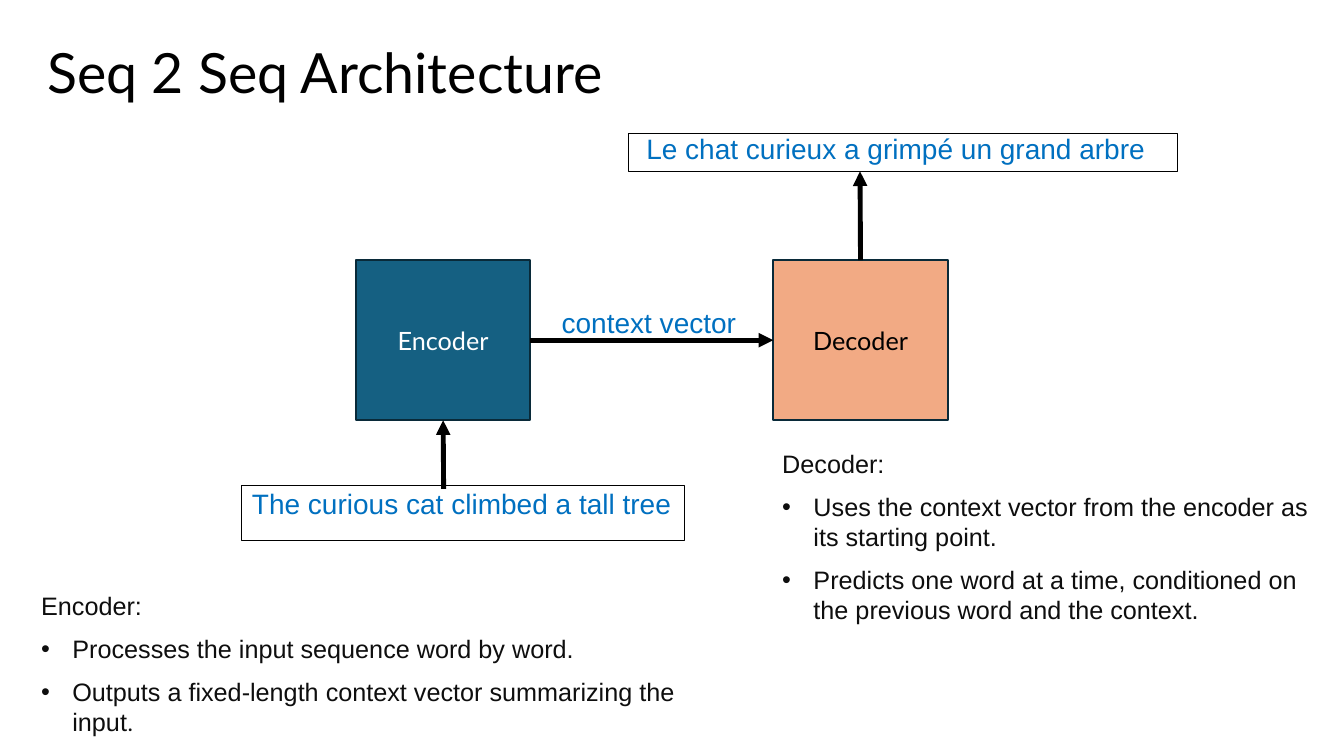
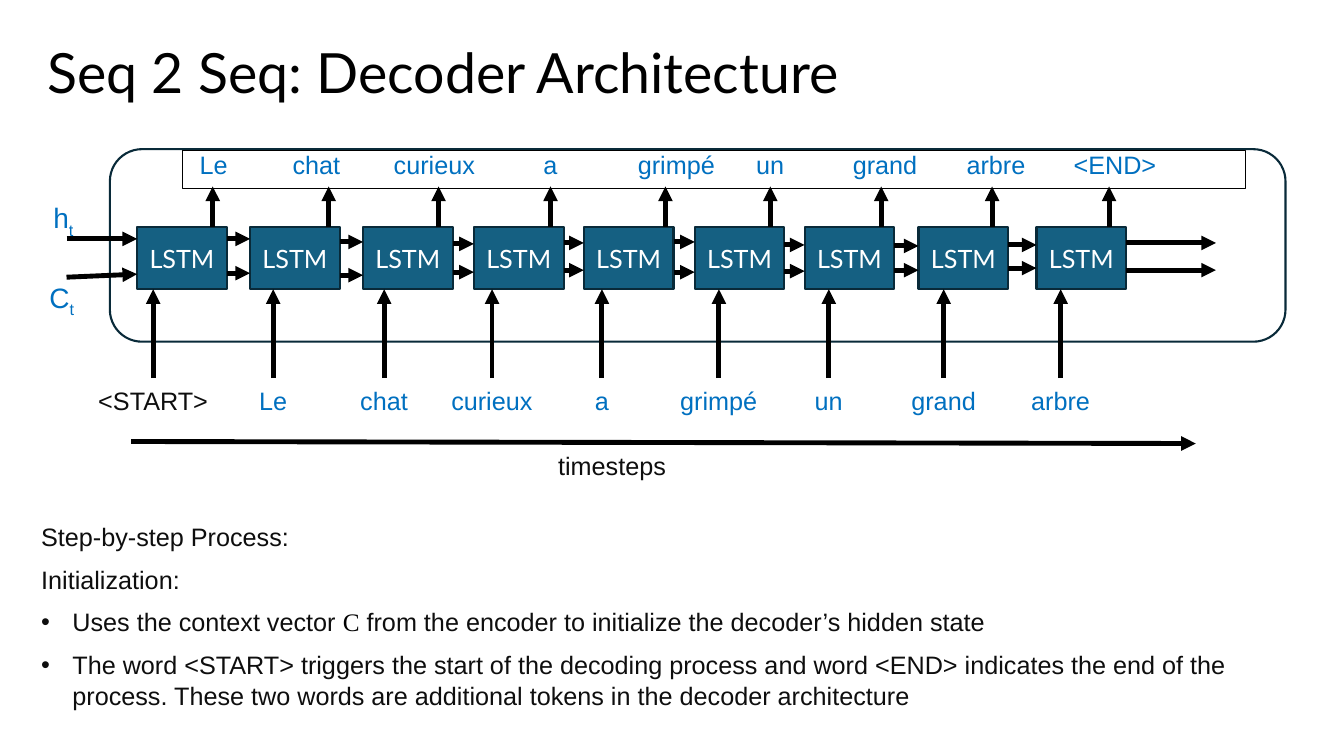
from dataclasses import dataclass, replace
from typing import NamedTuple

from lxml import etree
from pptx import Presentation
from pptx.dml.color import RGBColor
from pptx.enum.shapes import MSO_CONNECTOR as Line, MSO_SHAPE as Preset
from pptx.enum.text import MSO_ANCHOR as Anchor, MSO_AUTO_SIZE as AutoSize, PP_ALIGN as Align
from pptx.oxml.ns import qn
from pptx.util import Inches, Pt


@dataclass(frozen=True)
class Style:
    size: float
    font: str
    color: str
    spacing: float = 1.0
    subscript: bool = False


@dataclass(frozen=True)
class Theme:
    black: str = "000000"
    white: str = "FFFFFF"
    encoder: str = "156082"
    decoder: str = "F2AA84"
    outline: str = "092A39"
    thin: float = 0.75
    edge: float = 1.5
    arrow: float = 3.5
    paragraph_gap: float = 9
    indent: float = 0.31
    title: Style = Style(39.6, "Lato", "000000", 0.9)
    block: Style = Style(18, "Lato", "FFFFFF")
    body: Style = Style(18, "Arial", "0E0E0E")
    phrase: Style = Style(20, "Arial", "0070C0", 0.8)
    word: Style = Style(18, "Arial", "0070C0")


THEME = Theme()
ROMAN = replace(THEME.body, font="Times New Roman", color=THEME.black)
ROBOTO = replace(THEME.body, font="Roboto")
SUBSCRIPT = replace(THEME.phrase, subscript=True)


class Box(NamedTuple):
    left: float
    top: float
    width: float
    height: float

    def inches(self):
        return [Inches(length) for length in self]

    def inner(self, left, top, width, height):
        return Box(self.left + left, self.top + top, width, height)


class Step(NamedTuple):
    """One decoder timestep; lengths are measured from the decoder frame."""
    cell: float
    token: str
    token_x: float
    word: str
    word_x: float
    output_x: float
    hidden_y: float
    context_y: float


STEPS = [
    Step(0.27, "<START>", 0.43, "Le", 1.03, 1.02, 0.89, 1.23),
    Step(1.39, "Le", 1.62, "chat", 2.05, 2.17, 0.92, 1.25),
    Step(2.51, "chat", 2.72, "curieux", 3.22, 3.26, 0.94, 1.22),
    Step(3.61, "curieux", 3.79, "a", 4.37, 4.37, 0.93, 1.20),
    Step(4.70, "a", 4.88, "grimpé", 5.62, 5.51, 0.92, 1.22),
    Step(5.80, "grimpé", 6.04, "un", 6.55, 6.55, 0.95, 1.21),
    Step(6.89, "un", 7.13, "grand", 7.69, 7.65, 0.96, 1.20),
    Step(8.02, "grand", 8.27, "arbre", 8.79, 8.75, 0.95, 1.18),
    Step(9.19, "arbre", 9.43, "<END>", 9.97, 9.91, 0.93, 1.20),
]
CELL_WIDTH, CELL_HEIGHT, CELL_TOP = 0.89, 0.62, 0.77


# Text helpers
def format_run(run, style):
    run.font.size = Pt(style.size)
    run.font.name = style.font
    run.font.color.rgb = RGBColor.from_string(style.color)
    if style.subscript:
        run._r.get_or_add_rPr().set("baseline", "-25000")


def write(paragraph, content, style, align=Align.LEFT):
    """Content is a string or a list of (text, style) parts."""
    parts = [(content, style)] if isinstance(content, str) else content
    for text, part_style in parts:
        run = paragraph.add_run()
        run.text = text
        format_run(run, part_style)
    paragraph.alignment = align
    paragraph.line_spacing = style.spacing


def add_bullet(paragraph):
    properties = paragraph._p.get_or_add_pPr()
    properties.set("marL", str(Inches(THEME.indent)))
    properties.set("indent", str(-Inches(THEME.indent)))
    etree.SubElement(properties, qn("a:buFont")).set("typeface", "Arial")
    etree.SubElement(properties, qn("a:buChar")).set("char", "•")


def add_label(slide, box, content, style, align=Align.LEFT, inset=0.1):
    label = slide.shapes.add_textbox(*box.inches())
    label.text_frame.word_wrap = True
    label.text_frame.margin_left = Inches(inset)
    write(label.text_frame.paragraphs[0], content, style, align)
    return label


def add_notes_block(slide, box, headings, bullets):
    frame = slide.shapes.add_textbox(*box.inches()).text_frame
    frame.word_wrap = True
    for index, content in enumerate(headings + bullets):
        paragraph = frame.add_paragraph() if index else frame.paragraphs[0]
        if index >= len(headings):
            add_bullet(paragraph)
        write(paragraph, content, THEME.body)
        if index:
            paragraph.space_before = Pt(THEME.paragraph_gap)


# Shape helpers
def add_panel(slide, box, fill=None, outline=THEME.outline, weight=THEME.edge,
              preset=Preset.RECTANGLE):
    panel = slide.shapes.add_shape(preset, *box.inches())
    panel.shadow.inherit = False
    if fill:
        panel.fill.solid()
        panel.fill.fore_color.rgb = RGBColor.from_string(fill)
    else:
        panel.fill.background()
    panel.line.color.rgb = RGBColor.from_string(outline)
    panel.line.width = Pt(weight)
    return panel


def add_block(slide, box, name, fill, color=THEME.white):
    block = add_panel(slide, box, fill)
    block.text_frame.vertical_anchor = Anchor.MIDDLE
    write(block.text_frame.paragraphs[0], name,
          replace(THEME.block, color=color), Align.CENTER)
    return block


def add_framed_text(slide, box, content, style, inset=0.1):
    framed = add_panel(slide, box, outline=THEME.black, weight=THEME.thin)
    framed.text_frame.vertical_anchor = Anchor.TOP
    framed.text_frame.margin_left = Inches(inset)
    write(framed.text_frame.paragraphs[0], content, style)
    return framed


def add_arrow(slide, x1, y1, x2, y2):
    arrow = slide.shapes.add_connector(
        Line.STRAIGHT, *[Inches(length) for length in (x1, y1, x2, y2)])
    arrow.line.color.rgb = RGBColor.from_string(THEME.black)
    arrow.line.width = Pt(THEME.arrow)
    etree.SubElement(arrow.line._get_or_add_ln(), qn("a:tailEnd")).set("type", "triangle")
    etree.SubElement(arrow._element.spPr, qn("a:effectLst"))
    return arrow


def set_word_tabs(shape, positions):
    """Centre each tabbed word on a distance from the text's left edge."""
    properties = shape.text_frame.paragraphs[0]._p.get_or_add_pPr()
    tabs = etree.SubElement(properties, qn("a:tabLst"))
    for position in positions:
        tab = etree.SubElement(tabs, qn("a:tab"))
        tab.set("pos", str(Inches(position)))
        tab.set("algn", "ctr")


def tabbed(words):
    return "".join("\t" + word for word in words)


def add_titled_slide(deck, title_text):
    slide = deck.slides.add_slide(deck.slide_layouts[5])
    title = slide.shapes.title
    title.left, title.top, title.width, title.height = Box(0.37, 0.38, 11.5, 0.73).inches()
    frame = title.text_frame
    frame.auto_size = AutoSize.NONE
    frame.vertical_anchor = Anchor.MIDDLE
    write(frame.paragraphs[0], title_text, THEME.title)
    return slide


# Encoder and decoder overview
def draw_translation(slide, area):
    encoder = add_block(slide, area.inner(1.13, 1.26, 1.73, 1.59), "Encoder", THEME.encoder)
    decoder = add_block(slide, area.inner(5.27, 1.26, 1.73, 1.59), "Decoder",
                        THEME.decoder, THEME.black)
    add_framed_text(slide, area.inner(0, 3.5, 4.39, 0.54),
                    "The curious cat climbed a tall tree",
                    replace(THEME.phrase, spacing=0.9))
    add_framed_text(slide, area.inner(3.83, 0, 5.45, 0.38),
                    "Le chat curieux a grimpé un grand arbre", THEME.phrase, inset=0.18)

    encoder_x, decoder_x = area.left + 2, area.left + 6.13
    source = add_arrow(slide, encoder_x, area.top + 3.53, encoder_x, area.top + 2.85)
    source.end_connect(encoder, 2)
    context = add_arrow(slide, encoder_x, area.top + 2.05, decoder_x, area.top + 2.05)
    context.begin_connect(encoder, 3)
    context.end_connect(decoder, 1)
    target = add_arrow(slide, decoder_x, area.top + 1.26, decoder_x, area.top + 0.38)
    target.begin_connect(decoder, 0)
    add_label(slide, area.inner(2.99, 1.73, 2.15, 0.38), "context vector",
              THEME.phrase, inset=0.18)


def build_overview(deck):
    slide = add_titled_slide(deck, "Seq 2 Seq Architecture")
    draw_translation(slide, Box(2.4, 1.32, 9.28, 4.04))
    add_notes_block(slide, Box(0.31, 5.81, 6.73, 1.57), ["Encoder:"], [
        "Processes the input sequence word by word.",
        [("Outputs a fixed-length context vector summarizing the input", THEME.body),
         (".", ROBOTO)],
    ])
    add_notes_block(slide, Box(7.66, 4.4, 5.45, 1.87), ["Decoder:"], [
        "Uses the context vector from the encoder as its starting point.",
        "Predicts one word at a time, conditioned on the previous word and the context.",
    ])


# Decoder unrolled over time
def draw_decoder(slide, frame):
    left, top = frame.left, frame.top
    add_panel(slide, frame, THEME.white, preset=Preset.ROUNDED_RECTANGLE)
    for step in STEPS:
        add_block(slide, frame.inner(step.cell, CELL_TOP, CELL_WIDTH, CELL_HEIGHT),
                  "LSTM", THEME.encoder)

    # States passed on to the next cell, and out of the last one
    next_cells = [step.cell for step in STEPS[1:]] + [10.97]
    for step, next_cell in zip(STEPS, next_cells):
        for y in (step.hidden_y, step.context_y):
            add_arrow(slide, left + step.cell + CELL_WIDTH, top + y,
                      left + next_cell, top + y)
        add_arrow(slide, left + step.output_x, top + CELL_TOP,
                  left + step.output_x, top + 0.37)
        add_arrow(slide, left + step.token_x, top + 2.27,
                  left + step.token_x, top + CELL_TOP + CELL_HEIGHT)

    # Generated words above, input tokens below
    outputs = add_framed_text(slide, frame.inner(0.72, 0.01, 10.54, 0.38),
                              tabbed(step.word for step in STEPS),
                              replace(THEME.word, spacing=0.8))
    set_word_tabs(outputs, [step.word_x - 0.82 for step in STEPS])
    start, *tokens = [step.token for step in STEPS]
    inputs = add_label(slide, frame.inner(-0.47, 2.29, 11.11, 0.4),
                       [(tabbed([start]), THEME.body), (tabbed(tokens), THEME.word)],
                       THEME.word)
    set_word_tabs(inputs, [step.token_x + 0.37 for step in STEPS])

    # Initial states
    for y_start, y_end in ((0.89, 0.89), (1.27, 1.24)):
        add_arrow(slide, left - 0.43, top + y_start, left + STEPS[0].cell, top + y_end)
    for symbol, x, y in (("h", -0.66, 0.5), ("C", -0.7, 1.29)):
        add_label(slide, frame.inner(x, y, 0.52, 0.38),
                  [(symbol, THEME.phrase), ("t", SUBSCRIPT)], THEME.phrase)

    # Time axis
    add_arrow(slide, left + 0.21, top + 2.9, left + 10.77, top + 2.92)
    add_label(slide, frame.inner(1.05, 2.94, 7.86, 0.4), "timesteps", THEME.body, Align.CENTER)


def build_decoder(deck):
    slide = add_titled_slide(deck, "Seq 2 Seq: Decoder Architecture")
    add_notes_block(
        slide, Box(0.31, 5.12, 12.71, 1.99), ["Step-by-step Process:", "Initialization:"], [
            [("Uses the context vector ", THEME.body), ("C", ROMAN),
             (" from the encoder to initialize the decoder’s hidden state", THEME.body)],
            "The word <START> triggers the start of the decoding process and word <END> "
            "indicates the end of the process. These two words are additional tokens in "
            "the decoder architecture",
        ])
    draw_decoder(slide, Box(1.09, 1.48, 11.66, 1.91))


def main():
    deck = Presentation()
    deck.slide_width, deck.slide_height = Inches(13.33), Inches(7.5)
    build_overview(deck)
    build_decoder(deck)
    deck.save("out.pptx")


if __name__ == "__main__":
    main()
